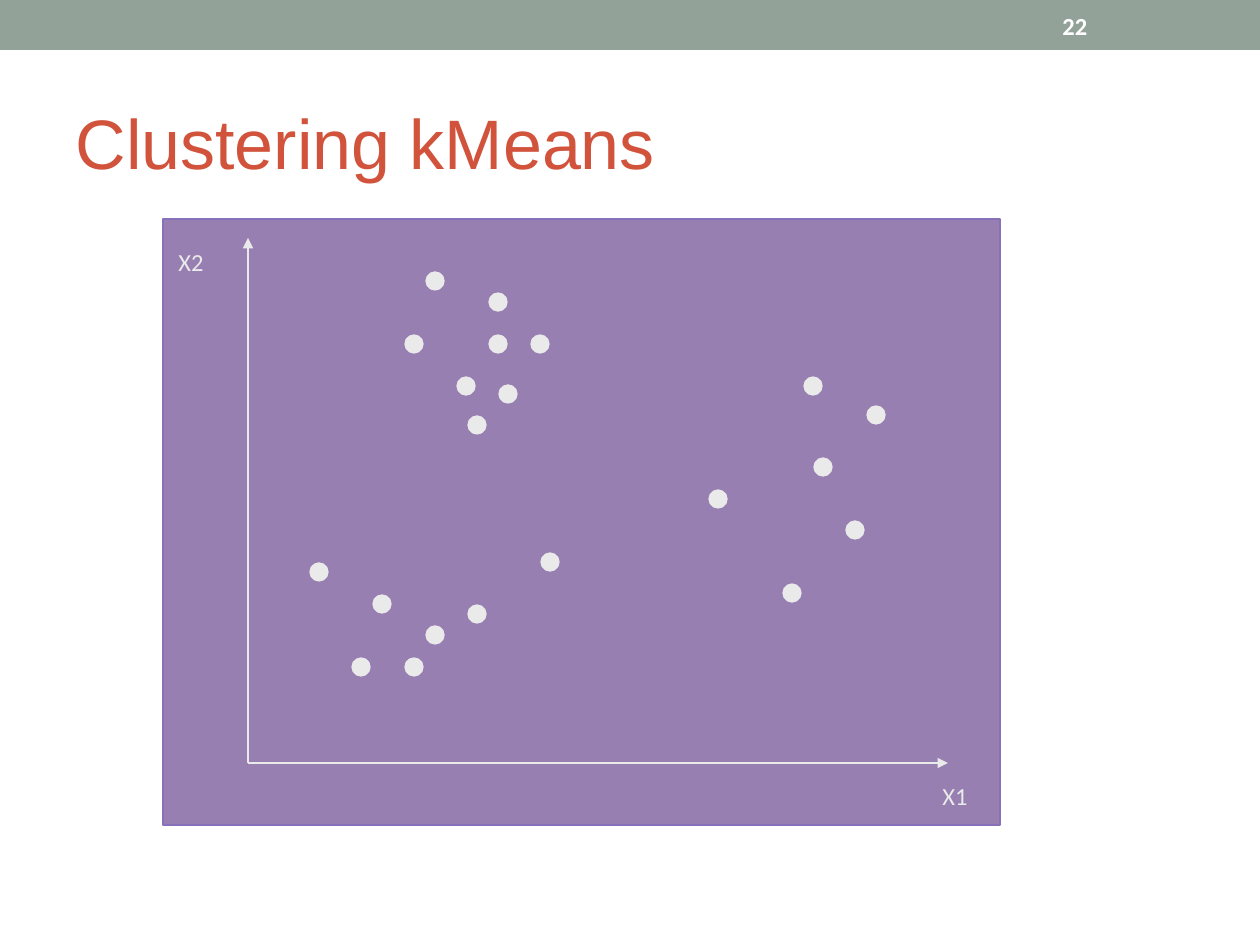
from lxml.etree import SubElement
from pptx import Presentation
from pptx.dml.color import RGBColor
from pptx.enum.shapes import MSO_CONNECTOR as Connector, MSO_SHAPE as Shape
from pptx.enum.text import MSO_ANCHOR as Anchor, PP_ALIGN as Align
from pptx.oxml.ns import qn
from pptx.util import Emu, Pt

PX_PER_INCH = 126
COLOURS = {
    "band": "93A299",
    "title": "D2533C",
    "white": "FFFFFF",
    "panel": "330066",
    "panel_edge": "8871BB",
    "mark": "EAEAEA",
}


def px(length):
    return Emu(round(length * 914400 / PX_PER_INCH))


def colour(name):
    return RGBColor.from_string(COLOURS[name])


class SlideBuilder:
    """Holds the drawing style, the page and the collection being drawn on."""

    line_width = Pt(0.75)

    def __init__(self, page):
        self.page = page
        self.shapes = page.shapes

    def start_group(self):
        self.shapes = self.page.shapes.add_group_shape().shapes

    def set_text(self, box, text, font_name, size, ink, align=Align.LEFT, bold=False):
        frame = box.text_frame
        frame.text = text
        para = frame.paragraphs[0]
        para.alignment = align
        para.font.name = font_name
        para.font.size = Pt(size)
        para.font.bold = bold
        para.font.color.rgb = colour(ink)
        return frame

    def title(self, text, left, top, width, height):
        box = self.page.shapes.title
        box.left, box.top, box.width, box.height = map(px, (left, top, width, height))
        frame = self.set_text(box, text, "Arial", 40, "title")
        frame.vertical_anchor = Anchor.MIDDLE

    def label(self, text, left, top, width, height, ink="mark", wrap=False, **style):
        box = self.shapes.add_textbox(*map(px, (left, top, width, height)))
        frame = self.set_text(box, text, "Calibri", 14, ink, **style)
        frame.word_wrap = wrap
        return frame

    def shape(self, kind, left, top, width, height, fill, edge=None, opacity=None):
        shape = self.shapes.add_shape(kind, *map(px, (left, top, width, height)))
        shape.shadow.inherit = False
        shape.fill.solid()
        shape.fill.fore_color.rgb = colour(fill)
        if opacity is not None:
            fill_colour = shape._element.spPr.find(qn("a:solidFill"))[0]
            SubElement(fill_colour, qn("a:alpha"), val=str(opacity * 1000))
        if edge:
            shape.line.color.rgb = colour(edge)
            shape.line.width = self.line_width
        else:
            shape.line.fill.background()

    def dot(self, x, y, size=18):
        self.shape(Shape.OVAL, x - size / 2, y - size / 2, size, size, "mark", "mark")

    def arrow(self, start, end):
        connector = self.shapes.add_connector(Connector.STRAIGHT, *map(px, start + end))
        connector.line.color.rgb = colour("mark")
        connector.line.width = self.line_width
        properties = connector._element.spPr
        SubElement(properties.find(qn("a:ln")), qn("a:tailEnd"), type="triangle")
        SubElement(properties, qn("a:effectLst"))


# Centres of the data points, by cluster
CLUSTERS = {
    "upper": [(435, 281), (498, 302), (414, 344), (498, 344), (540, 344),
              (466, 386), (508, 394), (477, 425)],
    "lower": [(319, 572), (382, 604), (361, 667), (414, 667), (435, 635),
              (477, 614), (550, 562)],
    "right": [(813, 386), (876, 415), (823, 467), (718, 499), (855, 530), (792, 593)],
}


def main():
    deck = Presentation()
    deck.slide_width, deck.slide_height = px(1260), px(945)
    slide = SlideBuilder(deck.slides.add_slide(deck.slide_layouts[5]))

    # Header band, page number and title
    slide.shape(Shape.RECTANGLE, 0, 0, 1260, 50, "band")
    number = slide.label("22", 1050, 3, 147, 45, ink="white", wrap=True, bold=True)
    number.vertical_anchor = Anchor.MIDDLE
    slide.title("Clustering kMeans", 63, 73, 1134, 136)

    # Plot panel with its axes
    slide.start_group()
    slide.shape(Shape.RECTANGLE, 163, 219, 837, 606, "panel", "panel_edge", opacity=50)
    origin = (248, 763)
    slide.arrow(origin, (248, 238))
    slide.arrow(origin, (948, 763))

    # Data points
    for points in CLUSTERS.values():
        for x, y in points:
            slide.dot(x, y)

    # Axis names
    slide.label("X1", 930, 775, 50, 43, align=Align.CENTER)
    slide.label("X2", 166, 241, 50, 43, align=Align.CENTER)

    deck.save("out.pptx")


if __name__ == "__main__":
    main()
